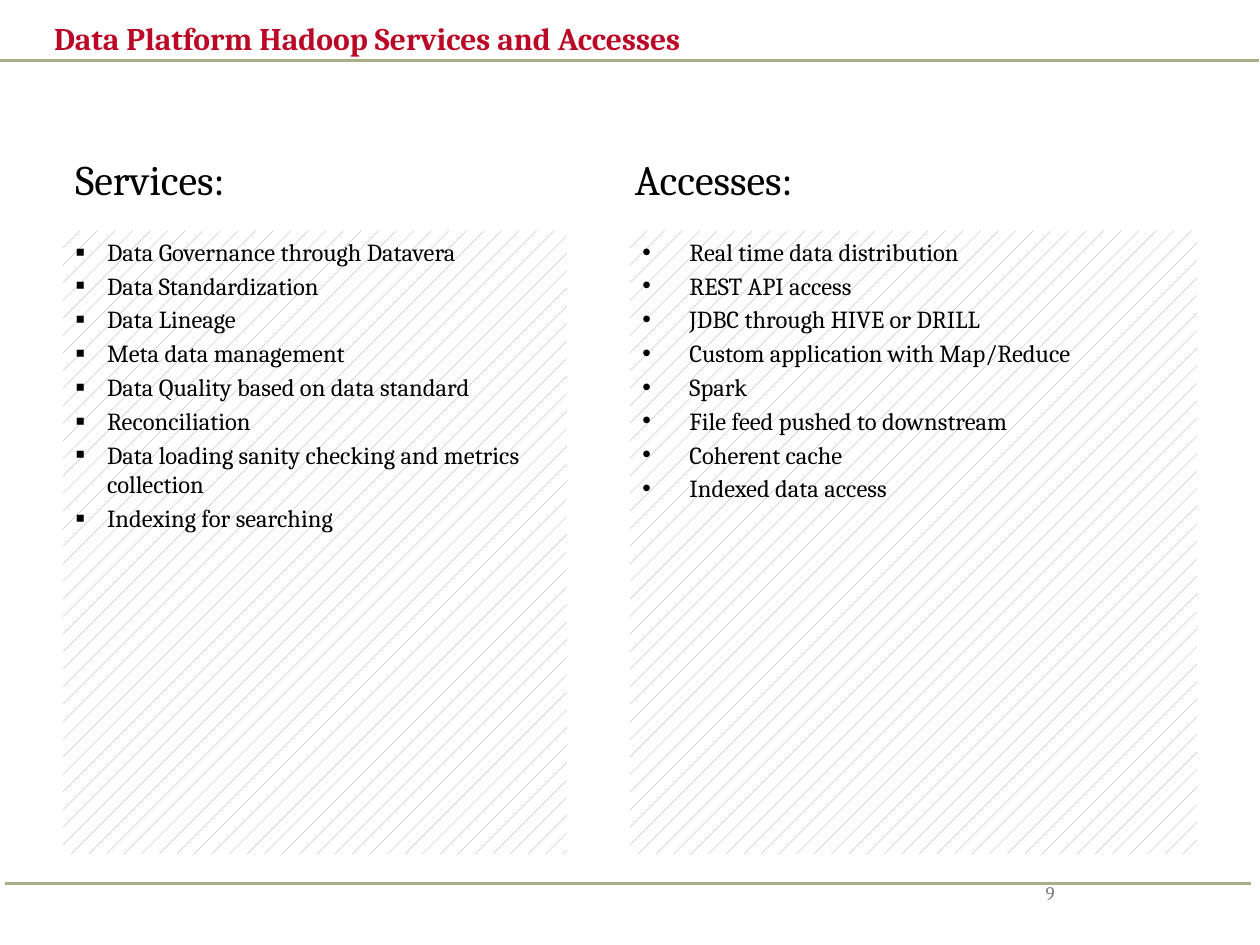
from lxml.etree import SubElement
from pptx import Presentation
from pptx.dml.color import RGBColor
from pptx.enum.dml import MSO_PATTERN
from pptx.enum.shapes import MSO_CONNECTOR, MSO_SHAPE
from pptx.enum.text import MSO_ANCHOR, PP_ALIGN
from pptx.oxml.ns import qn
from pptx.util import Cm, Pt

COLORS = {
    "title": "BB0826",
    "text": "000000",
    "rule": "A9B089",
    "hatch": "A79687",
    "paper": "FFFFFF",
    "number": "808080",
}


class Deck:
    font = "Cambria"

    def __init__(self, slide):
        self.s = slide

    def color(self, name):
        return RGBColor.from_string(COLORS[name])

    def add_text(self, p, text, size, color, bold=False):
        r = p.add_run()
        r.text = text
        formats = {"name": self.font, "size": Pt(size), "bold": bold}
        for key, value in formats.items():
            setattr(r.font, key, value)
        r.font.color.rgb = self.color(color)

    def rule(self, x1, x2, y):
        line = self.s.shapes.add_connector(
            MSO_CONNECTOR.STRAIGHT, Cm(x1), Cm(y), Cm(x2), Cm(y))
        line.line.color.rgb = self.color("rule")
        line.line.width = Pt(2)
        SubElement(line._element.spPr, qn("a:effectLst"))

    def label(self, box, text, size, color="text", bold=False,
              align=PP_ALIGN.LEFT, anchor=MSO_ANCHOR.TOP, wrap=True):
        sp = self.s.shapes.add_textbox(*map(Cm, box))
        tf = sp.text_frame
        for key, value in {"word_wrap": wrap, "vertical_anchor": anchor}.items():
            setattr(tf, key, value)
        p = tf.paragraphs[0]
        p.alignment = align
        self.add_text(p, text, size, color, bold)

    def bullet(self, p, char, indent, scale):
        pPr = p._p.get_or_add_pPr()
        pPr.set("marL", str(Cm(indent)))
        pPr.set("indent", str(-Cm(indent)))
        clr = SubElement(pPr, qn("a:buClr"))
        SubElement(clr, qn("a:srgbClr"), val=COLORS["text"])
        SubElement(pPr, qn("a:buSzPct"), val=str(scale * 1000))
        SubElement(pPr, qn("a:buFont"), typeface="Arial")
        SubElement(pPr, qn("a:buChar"), char=char)

    def panel(self, box, items, char, indent, scale):
        sp = self.s.shapes.add_shape(MSO_SHAPE.RECTANGLE, *map(Cm, box))
        sp.shadow.inherit = False
        sp.line.fill.background()
        sp.fill.patterned()
        sp.fill.pattern = MSO_PATTERN.PERCENT_5
        sp.fill.fore_color.rgb = self.color("hatch")
        sp.fill.back_color.rgb = self.color("paper")
        tf = sp.text_frame
        tf.word_wrap = True
        tf.vertical_anchor = MSO_ANCHOR.TOP
        for i, item in enumerate(items):
            p = tf.add_paragraph() if i else tf.paragraphs[0]
            p.alignment = PP_ALIGN.LEFT
            p.space_before = Pt(2.5)
            self.bullet(p, char, indent, scale)
            self.add_text(p, item, 14, "text")


prs = Presentation()
prs.slide_width, prs.slide_height = Cm(25.4), Cm(19.05)
deck = Deck(prs.slides.add_slide(prs.slide_layouts[6]))

services = [
    "Data Governance through Datavera",
    "Data Standardization",
    "Data Lineage",
    "Meta data management",
    "Data Quality based on data standard",
    "Reconciliation",
    "Data loading sanity checking and metrics collection",
    "Indexing for searching",
]
accesses = [
    "Real time data distribution",
    "REST API access",
    "JDBC through HIVE or DRILL",
    "Custom application with Map/Reduce",
    "Spark",
    "File feed pushed to downstream",
    "Coherent cache",
    "Indexed data access",
]

deck.rule(0.1, 25.22, 17.81)
deck.rule(-0.03, 25.37, 1.22)
deck.label((0.84, 0.2, 22.86, 1.14), "Data Platform Hadoop Services and Accesses",
           18, "title", bold=True, anchor=MSO_ANCHOR.MIDDLE)

top, height = 4.65, 12.57
deck.panel((1.27, top, 10.16, height), services, "▪", 0.64, 115)
deck.panel((12.7, top, 11.43, height), accesses, "•", 0.95, 100)

for left, width, heading in [(1.27, 3.58, "Services:"), (12.55, 3.81, "Accesses:")]:
    deck.label((left, 2.97, width, 1.27), heading, 24, wrap=False)
deck.label((18.21, 17.65, 5.92, 1.02), "9", 11, "number", align=PP_ALIGN.CENTER)

prs.save("out.pptx")
